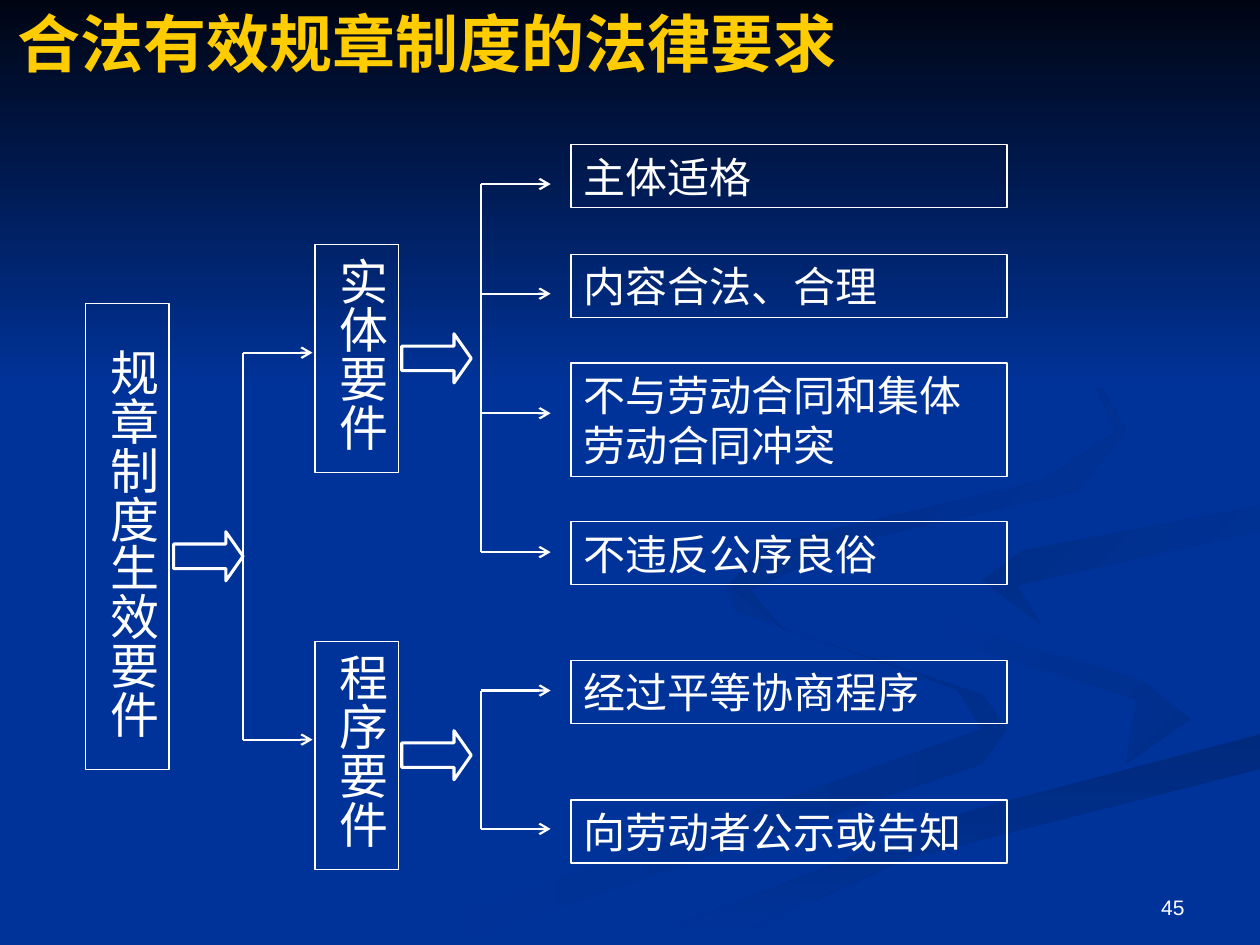
from lxml import etree
from pptx import Presentation
from pptx.dml.color import RGBColor
from pptx.enum.shapes import MSO_CONNECTOR as Line, MSO_SHAPE as Shape
from pptx.enum.text import MSO_ANCHOR as Anchor, PP_ALIGN as Align
from pptx.oxml.ns import qn
from pptx.util import Cm, Pt

WHITE, GOLD, BLUE = "FFFFFF", "FFCC00", "003399"
SERIF, SANS = "Times New Roman", "Arial"
TITLE = "合法有效规章制度的法律要求"
PAGE_NUMBER = "45"

COLUMN_WIDTH = 1.68
COLUMNS = [
    ("规章制度生效要件", 1.73, 6.12, 9.4, 0.9),
    ("实体要件", 6.35, 4.93, 4.6, 0.25),
    ("程序要件", 6.35, 12.93, 4.6, 0.25),
]
BLOCK_ARROWS = [(3.5, 10.72), (8.1, 6.73), (8.1, 14.73)]

LEAF_LEFT, LEAF_WIDTH = 11.51, 8.79
LINE_HEIGHT, LEAF_PADDING = 1.02, 0.25
LEAVES = [
    ("主体适格", 2.92, 1),
    ("内容合法、合理", 5.13, 1),
    ("不与劳动合同和集体劳动合同冲突", 7.32, 2),
    ("不违反公序良俗", 10.52, 1),
    ("经过平等协商程序", 13.31, 1),
    ("向劳动者公示或告知", 16.13, 1),
]
BRANCHES = [
    (4.9, [7.11, 14.91]),
    (9.7, [3.71, 5.92, 8.33, 11.13]),
    (9.7, [13.92, 16.71]),
]
BRANCH_LENGTH = 1.4

SWIRLS = [
    ("002E8B", 0, [
        (19.8, 14), (15.6, 12.6), (14.6, 11.7), (14.8, 12.3), (19.3, 13.9),
        (19.8, 14.7), (7.6, 19), (9.2, 19), (19.8, 15.4), (20.3, 14.7)]),
    ("002E8B", 45, [
        (24, 14.5), (23, 13.7), (19.3, 12.6), (18.4, 11.8), (19.4, 13),
        (22.9, 14.1), (22.7, 15.4)]),
    ("002A7D", 90, [
        (12.8, 19), (14.5, 19), (18.3, 17.3), (25.4, 15.5), (25.4, 14.8),
        (19.4, 16.4)]),
    ("002D86", 45, [
        (19.8, 11.7), (21, 12.6), (20.5, 11.8), (25.4, 10.7), (25.4, 10.2),
        (20.6, 11.1)]),
    ("002B82", 45, [
        (17.3, 10.9), (21.7, 9.9), (22.7, 8.7), (22, 7.4), (19.4, 5.9),
        (22, 7.6), (22.5, 8.7), (21, 9.7), (15.4, 11), (14.7, 11.8),
        (15.8, 12.7), (15.1, 11.9)]),
]


def color(value):
    return RGBColor.from_string(value)


def shade(shape, start, end, angle):
    shape.shadow.inherit = False
    shape.line.fill.background()
    shape.fill.gradient()
    shape.fill.gradient_angle = -angle % 360
    for stop, value in zip(shape.fill.gradient_stops, (start, end)):
        stop.color.rgb = color(value)


def add_swirl(page, tint, angle, points):
    corners = [(Cm(x), Cm(y)) for x, y in points]
    builder = page.shapes.build_freeform(*corners[0])
    builder.add_line_segments(corners[1:], close=True)
    ends = (tint, BLUE) if tint != "002E8B" else (BLUE, tint)
    shade(builder.convert_to_shape(), *ends, angle)


def write(box, text, size, font=SERIF, ink=WHITE, bold=False,
          align=Align.LEFT, anchor=Anchor.TOP, insets=(0.25, 0.13, 0.25, 0.13)):
    frame = box.text_frame
    frame.word_wrap = True
    frame.vertical_anchor = anchor
    (frame.margin_left, frame.margin_top,
     frame.margin_right, frame.margin_bottom) = map(Cm, insets)
    para = frame.paragraphs[0]
    para.alignment = align
    span = para.add_run()
    span.text = text
    span.font.size = Pt(size)
    span.font.name = font
    span.font.bold = bold
    span.font.color.rgb = color(ink)
    return para


def add_outline(page, kind, left, top, width, height, weight=0.75):
    shape = page.shapes.add_shape(kind, Cm(left), Cm(top), Cm(width), Cm(height))
    shape.shadow.inherit = False
    shape.fill.background()
    shape.line.color.rgb = color(WHITE)
    shape.line.width = Pt(weight)
    return shape


def add_line(page, x1, y1, x2, y2, weight=0.75, arrow=False):
    line = page.shapes.add_connector(Line.STRAIGHT, Cm(x1), Cm(y1), Cm(x2), Cm(y2))
    line.line.color.rgb = color(WHITE)
    line.line.width = Pt(weight)
    if arrow:
        etree.SubElement(line.line._get_or_add_ln(), qn("a:tailEnd"), type="arrow")
    etree.SubElement(line._element.spPr, qn("a:effectLst"))


def main():
    deck = Presentation()
    deck.slide_width, deck.slide_height = Cm(25.4), Cm(19.05)
    page = deck.slides.add_slide(deck.slide_layouts[6])
    page.background.fill.solid()
    page.background.fill.fore_color.rgb = color(BLUE)

    for swirl in SWIRLS:
        add_swirl(page, *swirl)
    band = page.shapes.add_shape(Shape.RECTANGLE, 0, 0, deck.slide_width, Cm(7.82))
    shade(band, "000514", BLUE, 90)

    number = page.shapes.add_textbox(Cm(18.21), Cm(17.35), Cm(5.92), Cm(1.32))
    write(number, PAGE_NUMBER, 12, SANS, align=Align.RIGHT, anchor=Anchor.BOTTOM)
    title = page.shapes.add_textbox(Cm(0.1), Cm(0.13), Cm(21.59), Cm(11.43))
    write(title, TITLE, 36, ink=GOLD, bold=True).line_spacing = 0.9

    for text, left, top, height, inset in COLUMNS:
        box = add_outline(page, Shape.RECTANGLE, left, top, COLUMN_WIDTH, height)
        write(box, text, 28, insets=(0.13, inset, 0.13, 0.25))
        box.text_frame._txBody.bodyPr.set("vert", "eaVert")

    for left, top in BLOCK_ARROWS:
        arrow = add_outline(page, Shape.RIGHT_ARROW, left, top, 1.4, 0.99, 1.75)
        arrow.adjustments[0], arrow.adjustments[1] = 0.5, 0.35

    for text, top, lines in LEAVES:
        height = lines * LINE_HEIGHT + LEAF_PADDING
        box = add_outline(page, Shape.RECTANGLE, LEAF_LEFT, top, LEAF_WIDTH, height)
        write(box, text, 24)

    for x, levels in BRANCHES:
        add_line(page, x, levels[0], x, levels[-1])
        for y in levels:
            add_line(page, x, y, x + BRANCH_LENGTH, y, 1.25, arrow=True)

    deck.save("out.pptx")


if __name__ == "__main__":
    main()
